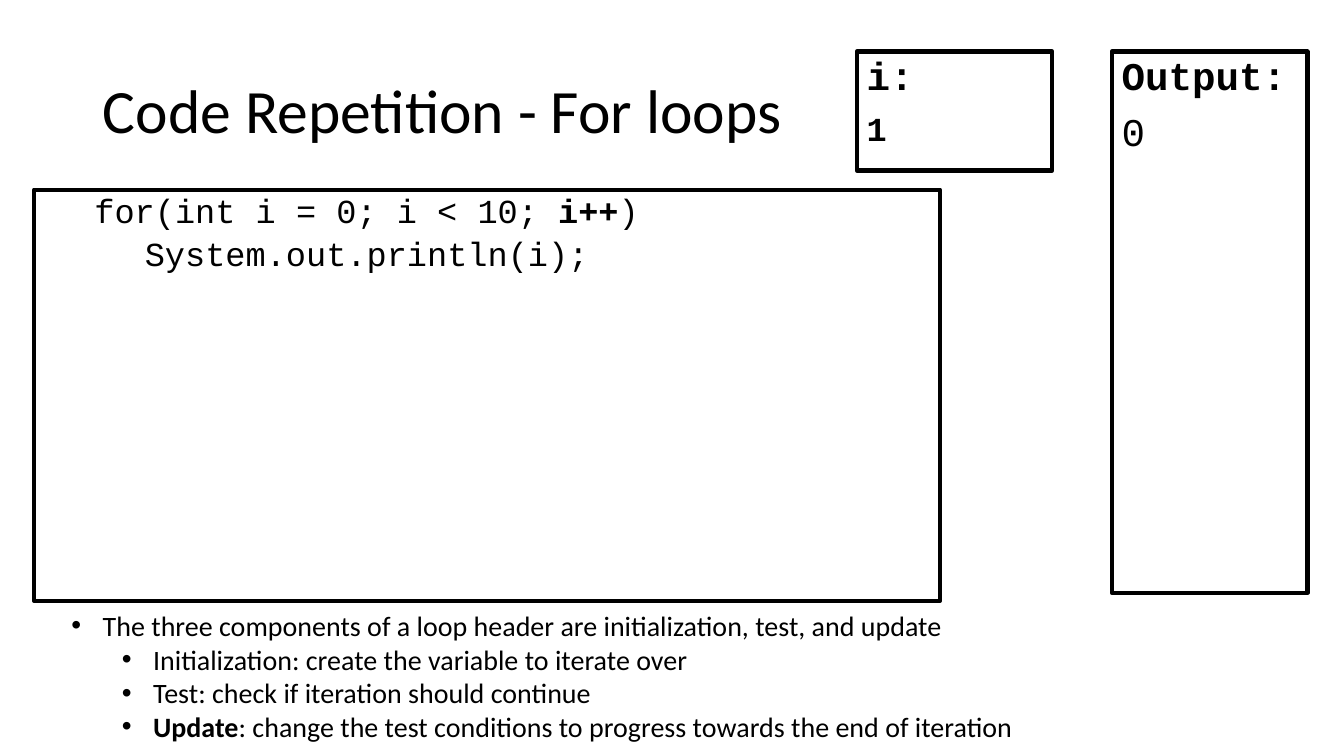
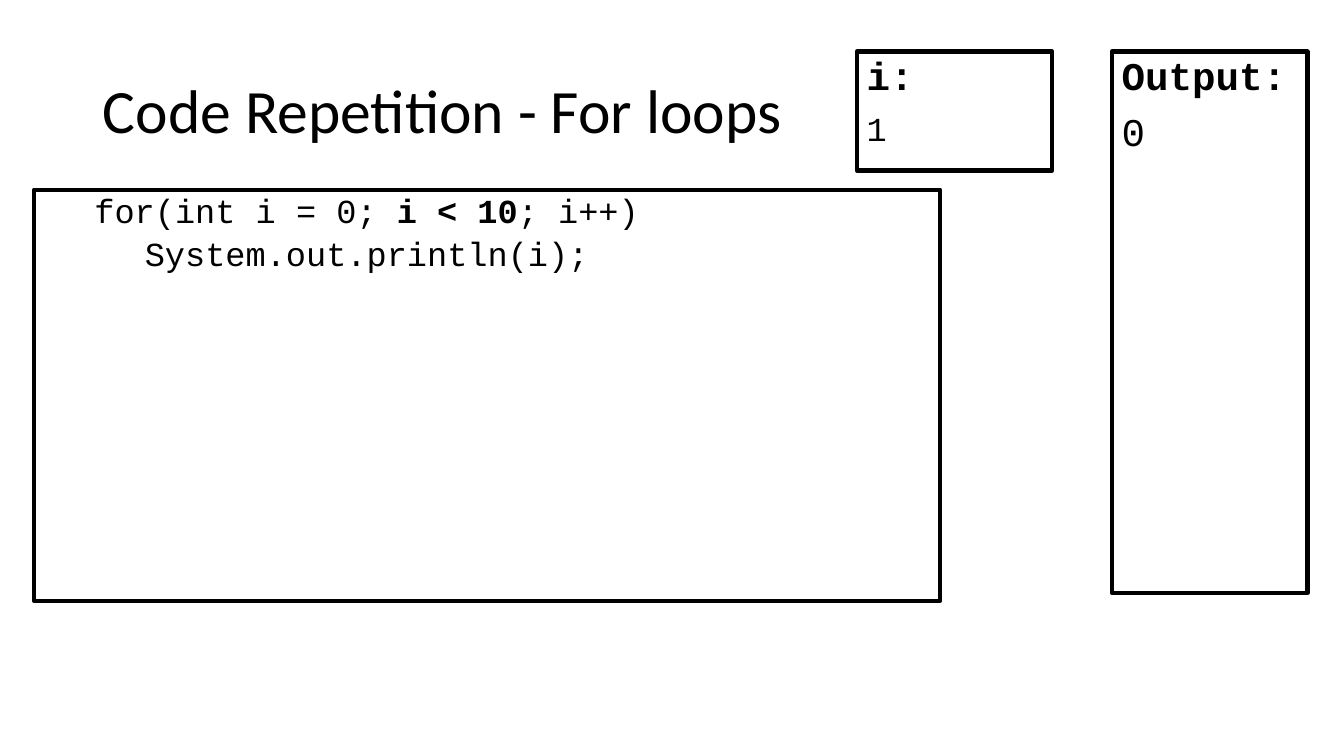
from dataclasses import dataclass

from lxml import etree
from pptx import Presentation
from pptx.dml.color import RGBColor
from pptx.enum.shapes import MSO_SHAPE
from pptx.enum.text import MSO_ANCHOR, MSO_AUTO_SIZE, PP_ALIGN
from pptx.oxml.ns import qn
from pptx.util import Cm, Pt

RECTANGLE = MSO_SHAPE.RECTANGLE
TOP, MIDDLE = MSO_ANCHOR.TOP, MSO_ANCHOR.MIDDLE
LEFT = PP_ALIGN.LEFT
NO_AUTOFIT = MSO_AUTO_SIZE.NONE
TITLE_ONLY = 5


@dataclass(frozen=True)
class Theme:
    ink: RGBColor = RGBColor(0, 0, 0)
    body_font: str = "Calibri"
    code_font: str = "Courier New"
    title_size: int = 44
    heading_size: int = 28
    code_size: int = 24
    bullet_size: int = 20
    border: int = 3
    line_spacing: float = 0.9


THEME = Theme()

TITLE_AREA = (2.34, 1.02, 29.21, 3.68)
OUTPUT_AREA = (28.02, 1.3, 4.93, 13.64)
CODE_AREA = (0.86, 4.78, 22.83, 10.36)
VARIABLE_AREA = (21.59, 1.3, 4.93, 3)
BULLET_AREA = (1.55, 15.21, 30.63, 3.68)

STEP = 1.27
BULLET_HANG = 0.79


def centimetres(area):
    return [Cm(length) for length in area]


def write_text(frame, runs, *, size, font=THEME.body_font, level=0, margin=0,
               indent=0, bullet=None, spacing=THEME.line_spacing, before=0):
    """Add one paragraph; runs is a list of (text, bold) pairs."""
    first = not frame.text
    paragraph = frame.paragraphs[0] if first else frame.add_paragraph()
    paragraph.level = level
    paragraph.alignment = LEFT
    paragraph.line_spacing = spacing
    paragraph.space_before = Pt(0 if first else before)
    properties = paragraph._p.get_or_add_pPr()
    properties.set("marL", str(Cm(margin)))
    properties.set("indent", str(Cm(indent)))
    if bullet:
        etree.SubElement(properties, qn("a:buFont"), typeface="Arial")
        etree.SubElement(properties, qn("a:buChar"), char=bullet)
    for text, bold in runs:
        run = paragraph.add_run()
        run.text = text
        run.font.name = font
        run.font.size = Pt(size)
        run.font.bold = bold
        run.font.color.rgb = THEME.ink


def set_up_frame(frame, anchor):
    frame.word_wrap = True
    frame.auto_size = NO_AUTOFIT
    frame.vertical_anchor = anchor
    return frame


def add_title(slide, text):
    title = slide.shapes.title
    title.left, title.top, title.width, title.height = centimetres(TITLE_AREA)
    frame = set_up_frame(title.text_frame, MIDDLE)
    write_text(frame, [(text, False)], size=THEME.title_size)


def add_outlined_box(slide, area):
    box = slide.shapes.add_shape(RECTANGLE, *centimetres(area))
    box.shadow.inherit = False
    box.fill.background()
    box.line.color.rgb = THEME.ink
    box.line.width = Pt(THEME.border)
    return set_up_frame(box.text_frame, TOP)


def add_value_box(slide, area, heading, value, *, size, bold=False):
    frame = add_outlined_box(slide, area)
    write_text(frame, [(heading, True)], size=THEME.heading_size,
               font=THEME.code_font)
    write_text(frame, [(value, bold)], size=size, font=THEME.code_font,
               before=10)


def add_code_box(slide, loop_header):
    frame = add_outlined_box(slide, CODE_AREA)
    loop_body = [("System.out.println(i);", False)]
    for runs, indent in ((loop_header, 0), (loop_body, STEP)):
        write_text(frame, runs, size=THEME.code_size, font=THEME.code_font,
                   level=1, margin=STEP, indent=indent, before=5)


def add_bullets(slide, items):
    """Add a bullet list; items is a list of (level, runs) pairs."""
    text_area = slide.shapes.add_textbox(*centimetres(BULLET_AREA))
    frame = set_up_frame(text_area.text_frame, TOP)
    for level, runs in items:
        write_text(frame, runs, size=THEME.bullet_size, level=level,
                   margin=BULLET_HANG + level * STEP, indent=-BULLET_HANG,
                   bullet="•", spacing=1.0)


def add_loop_slide(deck, loop_header, *, variable_bold=False):
    slide = deck.slides.add_slide(deck.slide_layouts[TITLE_ONLY])
    add_title(slide, "Code Repetition - For loops")
    add_value_box(slide, OUTPUT_AREA, "Output:", "0", size=THEME.heading_size)
    add_code_box(slide, loop_header)
    add_value_box(slide, VARIABLE_AREA, "i:", "1", size=THEME.code_size,
                  bold=variable_bold)
    return slide


def main():
    deck = Presentation()
    deck.slide_width, deck.slide_height = Cm(33.87), Cm(19.05)

    update_slide = add_loop_slide(
        deck,
        [("for(int i = 0; i < 10; ", False), ("i++", True), (")", False)],
        variable_bold=True)
    add_bullets(update_slide, [
        (0, [("The three components of a loop header are initialization, "
              "test, and update", False)]),
        (1, [("Initialization: create the variable to iterate over", False)]),
        (1, [("Test: check if iteration should continue", False)]),
        (1, [("Update", True),
             (": change the test conditions to progress towards the end of "
              "iteration", False)]),
    ])

    add_loop_slide(
        deck,
        [("for(int i = 0; ", False), ("i < 10", True), ("; i++)", False)])

    deck.save("out.pptx")


if __name__ == "__main__":
    main()
